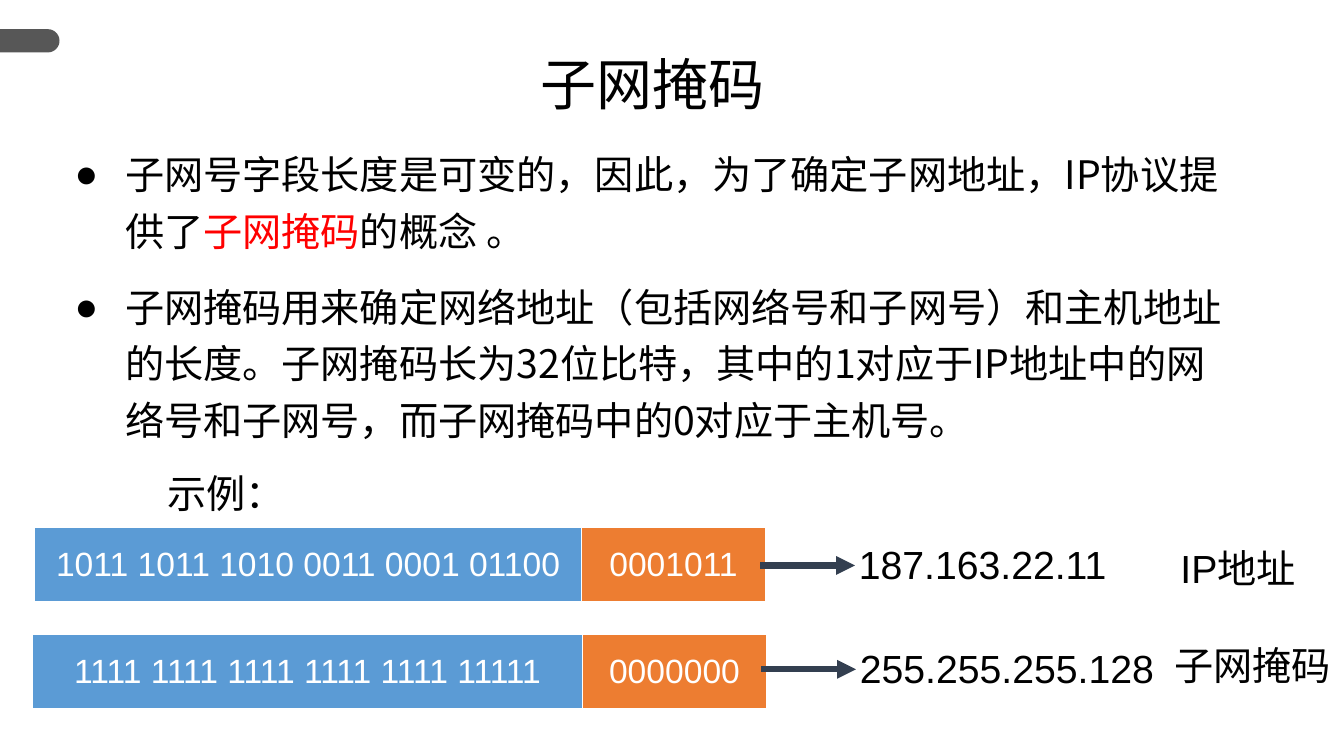
import math
import pptx
import pptx.util
import pptx.dml.color
import pptx.enum.shapes
import pptx.enum.text
import pptx.oxml.ns
from lxml import etree

RGB = pptx.dml.color.RGBColor
BLACK = RGB(0x00, 0x00, 0x00)
WHITE = RGB(0xFF, 0xFF, 0xFF)
RED = RGB(0xFF, 0x00, 0x00)
GREY = RGB(0x57, 0x57, 0x57)
BLUE = RGB(0x5B, 0x9B, 0xD5)
ORANGE = RGB(0xED, 0x7D, 0x31)
NAVY = RGB(0x33, 0x3F, 0x50)
SANS, ARIAL = "Noto Sans CJK SC", "Arial"

ALIGN = pptx.enum.text.PP_ALIGN
ANCHOR = pptx.enum.text.MSO_ANCHOR
qn = pptx.oxml.ns.qn
Pt = pptx.util.Pt


def grid(n):
    """Length of n grid cells; the slide has 133.3 columns and 75 rows."""
    return pptx.util.Inches(n / 10)


def place(shape, box):
    shape.left, shape.top, shape.width, shape.height = map(grid, box)


def write(par, *parts, size=28, font=ARIAL, color=BLACK, align=ALIGN.LEFT,
          line=1.0, before=0, bullet=None):
    """Fill a paragraph; a part is a string or a (string, colour) pair."""
    props = par._p.get_or_add_pPr()
    if bullet:
        props.set("marL", str(grid(5)))
        props.set("indent", str(-grid(5)))
        etree.SubElement(props, qn("a:buChar")).set("char", bullet)
    par.alignment, par.line_spacing = align, line
    par.space_before = Pt(before)
    for part in parts:
        words, tint = (part, color) if isinstance(part, str) else part
        run = par.add_run()
        run.text = words
        run.font.size, run.font.name, run.font.bold = Pt(size), font, False
        run.font.color.rgb = tint
        east = etree.SubElement(run._r.get_or_add_rPr(), qn("a:ea"))
        east.set("typeface", SANS)


def label(slide, box, words):
    shape = slide.shapes.add_textbox(*map(grid, box))
    shape.text_frame.word_wrap = True
    write(shape.text_frame.paragraphs[0], words)


def tab(slide, box):
    """Side tab with a round right end."""
    left, top, wide, high = box
    rad = high / 2
    turns = [math.pi * (i / 24 - 0.5) for i in range(25)]
    curve = [(grid(left + wide - rad + rad * math.cos(a)),
              grid(top + rad + rad * math.sin(a))) for a in turns]
    form = slide.shapes.build_freeform(grid(left), grid(top))
    form.add_line_segments(curve + [(grid(left), grid(top + high))])
    shape = form.convert_to_shape()
    shape.shadow.inherit = False
    shape.fill.solid()
    shape.fill.fore_color.rgb = GREY
    shape.line.fill.background()


def head(slide, box):
    title = slide.shapes.title
    place(title, box)
    title.text_frame.vertical_anchor = ANCHOR.TOP
    write(title.text_frame.paragraphs[0], "子网掩码", size=40, font=SANS,
          align=ALIGN.CENTER, line=0.9)


def body(slide, box):
    shape = slide.placeholders[1]
    place(shape, box)
    frame = shape.text_frame
    frame.auto_size = pptx.enum.text.MSO_AUTO_SIZE.NONE
    frame.vertical_anchor = ANCHOR.TOP
    write(frame.paragraphs[0],
          "子网号字段长度是可变的，因此，为了确定子网地址，IP协议提供了",
          ("子网掩码", RED), "的概念 。", font=SANS, line=1.2, bullet="●")
    write(frame.add_paragraph(),
          "子网掩码用来确定网络地址（包括网络号和子网号）和主机地址的长度。"
          "子网掩码长为32位比特，其中的1对应于IP地址中的网络号和子网号，"
          "而子网掩码中的0对应于主机号。",
          font=SANS, line=1.2, before=14, bullet="●")


def bits(slide, box, net, host):
    """Network bits and host bits side by side."""
    left, top, wide, high = box
    table = slide.shapes.add_table(1, 2, *map(grid, box)).table
    split = 18.2
    cols = ((net, BLUE, wide - split), (host, ORANGE, split))
    for i, (words, fill, width) in enumerate(cols):
        table.columns[i].width = grid(width)
        cell = table.cell(0, i)
        cell.fill.solid()
        cell.fill.fore_color.rgb = fill
        cell.vertical_anchor = ANCHOR.MIDDLE
        write(cell.text_frame.paragraphs[0], words, size=24, color=WHITE,
              align=ALIGN.CENTER)


def arrow(slide, left, top, wide):
    kind = pptx.enum.shapes.MSO_CONNECTOR.STRAIGHT
    link = slide.shapes.add_connector(
        kind, grid(left), grid(top), grid(left + wide), grid(top))
    link.line.color.rgb, link.line.width = NAVY, Pt(4.5)
    tip = etree.SubElement(link.line._get_or_add_ln(), qn("a:tailEnd"))
    tip.set("type", "triangle")
    etree.SubElement(link._element.spPr, qn("a:effectLst"))


def sample(slide, box, net, host, mid, addr, name, spot):
    """Bits, arrow, dotted address and its name on one row."""
    left, top, wide, high = box
    bits(slide, box, net, host)
    arrow(slide, left + wide - 0.5, top + mid, 9.4)
    label(slide, (left + wide + 8.3, top + mid - 2.95, 32, 5.7), addr)
    label(slide, (spot[0], top + spot[1], 17.7, 5.7), name)


def main():
    deck = pptx.Presentation()
    deck.slide_width, deck.slide_height = grid(133.3), grid(75)
    slide = deck.slides.add_slide(deck.slide_layouts[1])

    # Heading and list
    tab(slide, (0, 2.9, 5.9, 2.3))
    head(slide, (22.5, 5.2, 84.5, 12.5))
    body(slide, (6.4, 13.5, 116.7, 31.6))

    # Worked example
    label(slide, (15.6, 46.1, 13.8, 5.7), "示例：")
    sample(slide, (3.4, 52.3, 72.5, 7.4), "1011 1011 1010 0011 0001 01100",
           "0001011", 3.8, "187.163.22.11", "IP地址", (116.1, 1.2))
    sample(slide, (3.2, 62.9, 72.8, 7.4), "1111 1111 1111 1111 1111 11111",
           "0000000", 3.5, "255.255.255.128", "子网掩码", (115.5, 0.2))

    deck.save("out.pptx")


if __name__ == "__main__":
    main()
